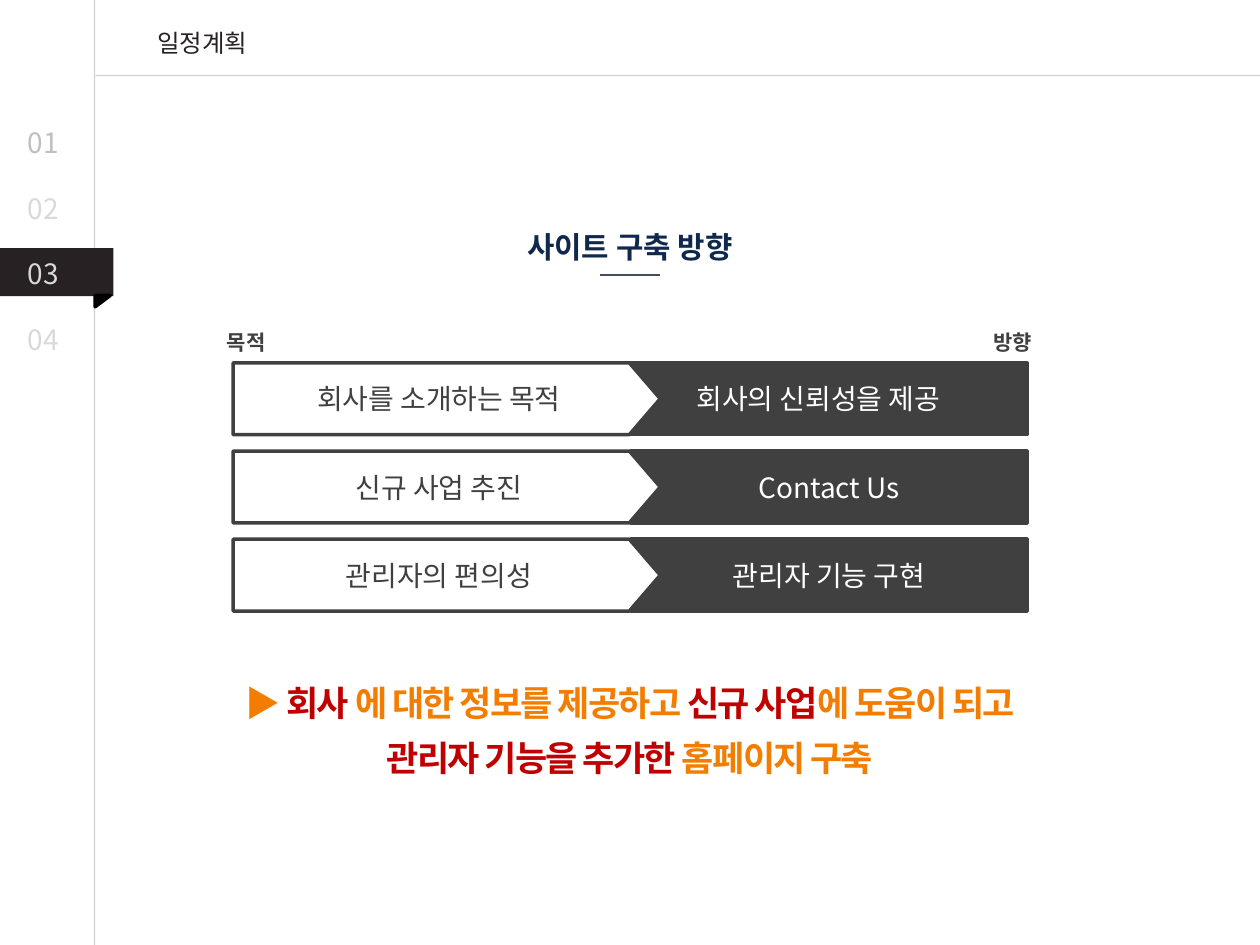
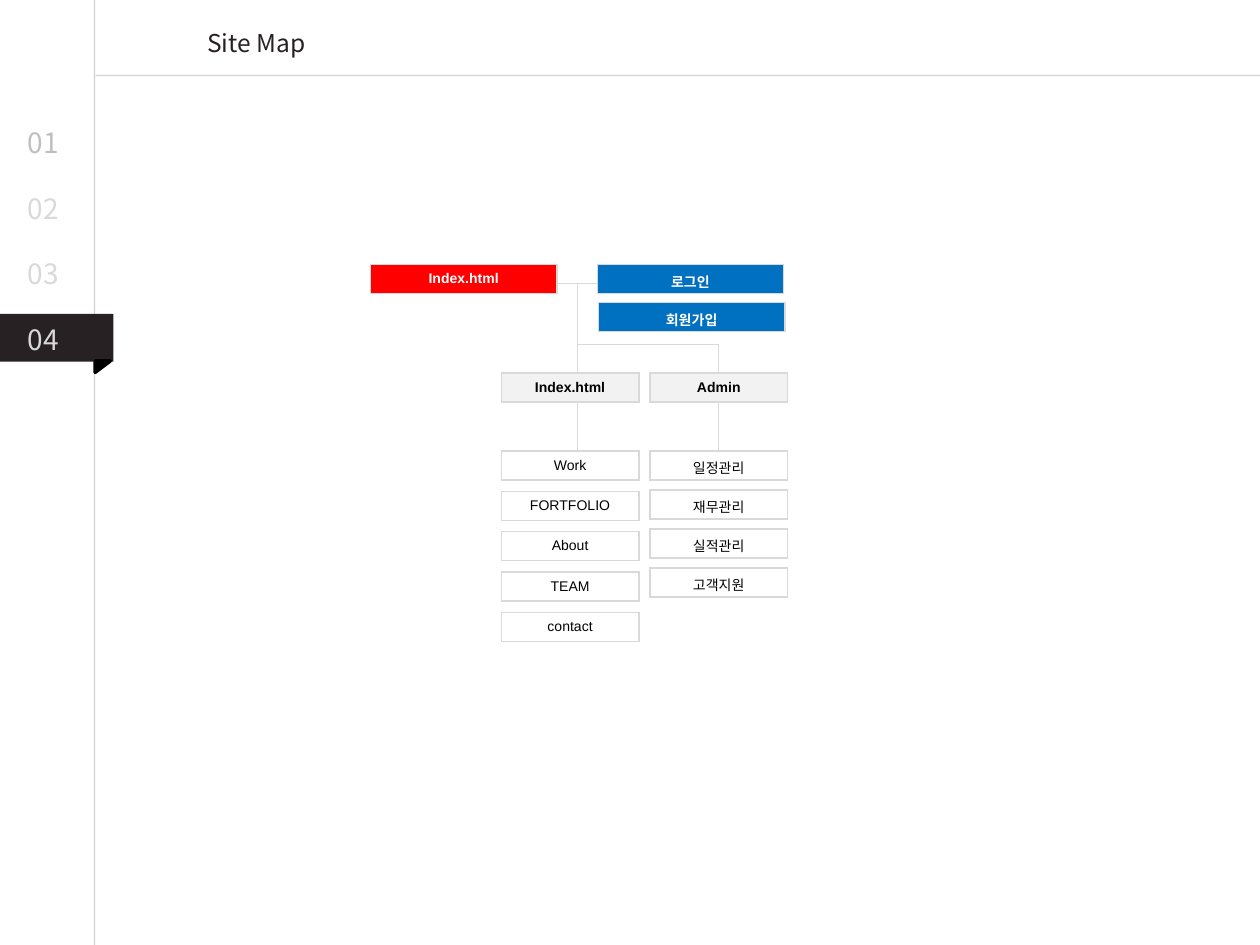
from lxml.etree import SubElement
from pptx import Presentation
from pptx.dml.color import RGBColor
from pptx.enum.shapes import MSO_CONNECTOR, MSO_SHAPE
from pptx.enum.text import MSO_ANCHOR, PP_ALIGN
from pptx.oxml.ns import qn
from pptx.util import Inches, Pt

SLIDE_W, SLIDE_H = Inches(10), Inches(7.5)
# The slide is a grid of square units, 10 across and 7.5 down
UNIT = SLIDE_W / 10

KOREAN_FONT, LATIN_FONT = "Noto Sans CJK KR", "Arial"

WHITE = RGBColor(0xFF, 0xFF, 0xFF)
BLACK = RGBColor(0x00, 0x00, 0x00)
INK = RGBColor(0x27, 0x21, 0x23)
CHARCOAL = RGBColor(0x40, 0x40, 0x40)
RAIL_GREY = RGBColor(0xA6, 0xA6, 0xA6)
FIRST_NUMBER = RGBColor(0xBF, 0xBF, 0xBF)
PALE_GREY = RGBColor(0xD9, 0xD9, 0xD9)
BRANCH_GREY = RGBColor(0xF2, 0xF2, 0xF2)
NAVY = RGBColor(0x10, 0x28, 0x4C)
SLATE = RGBColor(0x42, 0x4E, 0x60)
ORANGE = RGBColor(0xF3, 0x7D, 0x01)
CRIMSON = RGBColor(0xC0, 0x00, 0x00)
RED = RGBColor(0xFF, 0x00, 0x00)
BLUE = RGBColor(0x00, 0x70, 0xC0)

PURPOSES = [
    # purpose, direction, left edge of the direction bar
    ("회사를 소개하는 목적", "회사의 신뢰성을 제공", 4.84),
    ("신규 사업 추진", "Contact Us", 5.01),
    ("관리자의 편의성", "관리자 기능 구현", 5.01),
]
CONCLUSION = [
    [("▶ ", ORANGE), ("회사", CRIMSON), (" 에 대한 정보를 제공하고 ", ORANGE),
     ("신규 사업", CRIMSON), ("에 도움이 되고", ORANGE)],
    [("관리자 기능을 추가한", CRIMSON), (" 홈페이지 구축", ORANGE)],
]
BRANCHES = [
    # head, left edge, step between pages, pages
    ("Index.html", 3.98, 0.32, ["Work", "FORTFOLIO", "About", "TEAM", "contact"]),
    ("Admin", 5.16, 0.31, ["일정관리", "재무관리", "실적관리", "고객지원"]),
]


def units(*lengths):
    return [round(length * UNIT) for length in lengths]


def style_run(run, size, color, bold=False, font=KOREAN_FONT):
    run.font.size = Pt(size)
    run.font.bold = bold
    run.font.color.rgb = color
    run.font.name = font
    SubElement(run._r.get_or_add_rPr(), qn("a:ea")).set("typeface", KOREAN_FONT)


def write(frame, text, size, color, bold=False, align=PP_ALIGN.CENTER,
          anchor=MSO_ANCHOR.TOP, font=KOREAN_FONT):
    frame.text = text
    frame.word_wrap = True
    frame.vertical_anchor = anchor
    paragraph = frame.paragraphs[0]
    paragraph.alignment = align
    style_run(paragraph.runs[0], size, color, bold, font)


def add_label(slide, place, text, size, color, **style):
    label = slide.shapes.add_textbox(*units(*place))
    write(label.text_frame, text, size, color, **style)


def add_block(slide, kind, place, fill, line=None):
    block = slide.shapes.add_shape(kind, *units(*place))
    block.shadow.inherit = False
    block.fill.solid()
    block.fill.fore_color.rgb = fill
    if line is None:
        block.line.fill.background()
    else:
        block.line.color.rgb = line
        block.line.width = Pt(2)
    return block


def add_rule(slide, start, end, color, width, opacity=None):
    rule = slide.shapes.add_connector(MSO_CONNECTOR.STRAIGHT, *units(*start, *end))
    rule.line.color.rgb = color
    rule.line.width = Pt(width)
    properties = rule._element.spPr
    if opacity:
        tint = properties.find(".//" + qn("a:srgbClr"))
        SubElement(tint, qn("a:alpha")).set("val", str(opacity * 1000))
    SubElement(properties, qn("a:effectLst"))


def border_cell(cell, color, width):
    properties = cell._tc.get_or_add_tcPr()
    for side in ("lnL", "lnR", "lnT", "lnB"):
        edge = SubElement(properties, qn("a:" + side), w=str(Pt(width)))
        fill = SubElement(edge, qn("a:solidFill"))
        SubElement(fill, qn("a:srgbClr"), val=str(color))


def add_page_box(slide, left, top, width, text, fill=WHITE, color=BLACK, bold=False):
    table = slide.shapes.add_table(1, 1, *units(left, top, width, 0.23)).table
    table.first_row = table.horz_banding = False
    cell = table.cell(0, 0)
    cell.margin_top, cell.margin_bottom = units(0.05, 0.02)
    border_cell(cell, PALE_GREY, 1)
    cell.fill.solid()
    cell.fill.fore_color.rgb = fill
    write(cell.text_frame, text, 8, color, bold, font=LATIN_FONT)


def add_section_slide(prs, title, title_width, section):
    """Slide with the rails, the section numbers and the current-section band."""
    slide = prs.slides.add_slide(prs.slide_layouts[5])
    heading = slide.shapes.title
    heading.left, heading.top, heading.width, heading.height = units(
        0.81, 0.17, title_width, 0.34)
    write(heading.text_frame, title, 14, INK)

    # Rails
    add_rule(slide, (0.75, 0), (0.75, 7.5), RAIL_GREY, 0.75, opacity=50)
    add_rule(slide, (0.76, 0.6), (10, 0.6), RAIL_GREY, 0.75, opacity=50)

    # Band with its folded corner
    number_tops = [0.95 + 0.52 * i for i in range(4)]
    band_top = number_tops[section - 1] - 0.02
    add_block(slide, MSO_SHAPE.RECTANGLE, (0, band_top, 0.9, 0.38), INK)
    fold = add_block(slide, MSO_SHAPE.RIGHT_TRIANGLE,
                     (0.77, band_top + 0.36, 0.09, 0.12), BLACK, BLACK)
    fold.rotation = 90

    # Section numbers
    for number, top in enumerate(number_tops, start=1):
        add_label(slide, (0.12, top, 0.59, 0.37), f"{number:02}", 16,
                  FIRST_NUMBER if number == 1 else PALE_GREY, align=PP_ALIGN.LEFT)
    return slide


def add_purpose_row(slide, top, purpose, direction, direction_left):
    bars = [
        (MSO_SHAPE.RECTANGLE, direction_left, 8.15, direction, CHARCOAL, WHITE),
        (MSO_SHAPE.PENTAGON, 1.85, 5.24, purpose, WHITE, CHARCOAL),
    ]
    for kind, left, right, text, fill, color in bars:
        bar = add_block(slide, kind, (left, top, right - left, 0.57), fill, CHARCOAL)
        if kind == MSO_SHAPE.PENTAGON:
            bar.adjustments[0] = 0.43
        write(bar.text_frame, text, 16, color, anchor=MSO_ANCHOR.MIDDLE)


def add_conclusion(slide):
    frame = slide.shapes.add_textbox(*units(0, 5.26, 10, 0.91)).text_frame
    frame.word_wrap = True
    paragraph = frame.paragraphs[0]
    paragraph.alignment = PP_ALIGN.CENTER
    paragraph.line_spacing = 1.3
    for index, line in enumerate(CONCLUSION):
        if index:
            paragraph.add_line_break()
        for text, color in line:
            phrase = paragraph.add_run()
            phrase.text = text
            style_run(phrase, 20, color, bold=True)
            phrase._r.get_or_add_rPr().set("spc", "-100")


def build_direction_slide(prs):
    slide = add_section_slide(prs, "일정계획", 1.59, section=3)
    add_label(slide, (0, 1.77, 10, 0.39), "사이트 구축 방향", 17, NAVY, bold=True)
    add_rule(slide, (4.76, 2.18), (5.24, 2.18), SLATE, 1)
    add_label(slide, (1.64, 2.57, 0.63, 0.3), "목적", 12, CHARCOAL, bold=True)
    add_label(slide, (7.68, 2.57, 0.71, 0.3), "방향", 12, CHARCOAL, bold=True)
    for row, purpose in enumerate(PURPOSES):
        add_purpose_row(slide, 2.88 + 0.7 * row, *purpose)
    add_conclusion(slide)


def build_site_map_slide(prs):
    slide = add_section_slide(prs, "Site Map", 2.45, section=4)
    index_x, admin_x = 4.58, 5.7
    root_y, fork_y, head_y, pages_y = 2.25, 2.73, 2.96, 3.58

    # Tree lines, partly covered by the boxes
    for start, end in [
        ((3.23, root_y), (6.06, root_y)),
        ((index_x, root_y), (index_x, pages_y)),
        ((index_x, fork_y), (admin_x, fork_y)),
        ((admin_x, fork_y), (admin_x, pages_y)),
    ]:
        add_rule(slide, start, end, PALE_GREY, 0.25)

    # Entry pages
    for text, left, top, fill in [
        ("Index.html", 2.94, 2.1, RED),
        ("로그인", 4.74, 2.1, BLUE),
        ("회원가입", 4.75, 2.4, BLUE),
    ]:
        add_page_box(slide, left, top, 1.48, text, fill, WHITE, bold=True)

    # Branches and their pages
    for head, left, step, pages in BRANCHES:
        add_page_box(slide, left, head_y, 1.09, head, BRANCH_GREY, bold=True)
        for row, page in enumerate(pages):
            add_page_box(slide, left, pages_y + step * row, 1.09, page)


def main():
    prs = Presentation()
    prs.slide_width, prs.slide_height = SLIDE_W, SLIDE_H
    build_direction_slide(prs)
    build_site_map_slide(prs)
    prs.save("out.pptx")


if __name__ == "__main__":
    main()
